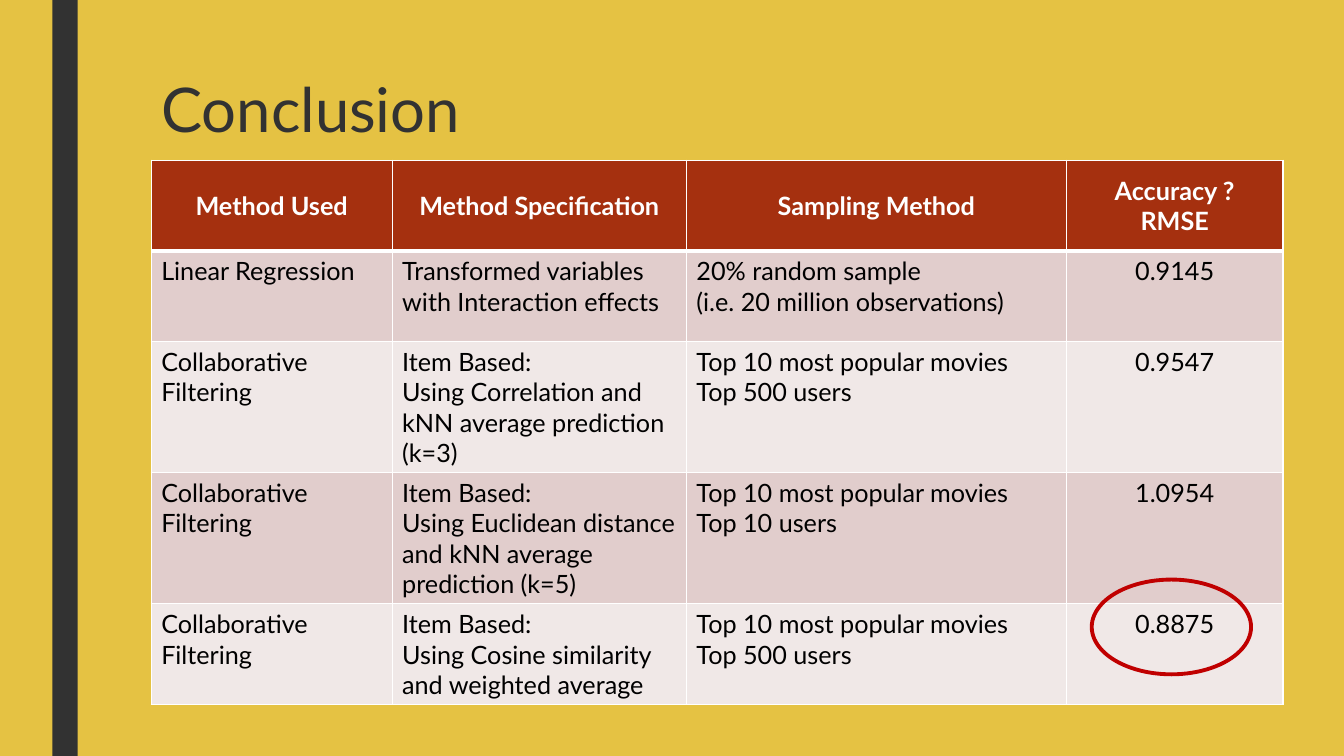
"""Build the conclusion slide that compares recommendation methods by RMSE."""
from dataclasses import dataclass

from lxml import etree
from pptx import Presentation
from pptx import util as u
from pptx.dml import color
from pptx.enum import shapes, text
from pptx.oxml import ns

COLOURS = {
    "background": "E5C243",
    "dark": "323232",
    "header": "A5300F",
    "odd": "E1CDCC",
    "even": "F0E8E7",
    "white": "FFFFFF",
    "black": "000000",
    "highlight": "C00000",
}
FONT = "Lato"
COLUMN_WIDTHS = (172.1, 210.2, 271.4, 154.8)
HEADERS = ("Method Used", "Method Specification", "Sampling Method", "Accuracy ?\nRMSE")


@dataclass
class Method:
    name: str
    specification: str
    sampling: str
    rmse: str
    height: float

    def texts(self) -> tuple[str, ...]:
        return self.name, self.specification, self.sampling, self.rmse


@dataclass
class Mark:
    kind: shapes.MSO_SHAPE
    left: float
    top: float
    width: float
    height: float
    fill: str = ""
    line: str = ""
    weight: float = 0


METHODS = (
    Method("Linear Regression", "Transformed variables with Interaction effects",
           "20% random sample\n(i.e. 20 million observations)", "0.9145", 64.8),
    Method("Collaborative Filtering",
           "Item Based:\nUsing Correlation and kNN average prediction (k=3)",
           "Top 10 most popular movies\nTop 500 users", "0.9547", 93.6),
    Method("Collaborative Filtering",
           "Item Based:\nUsing Euclidean distance and kNN average prediction (k=5)",
           "Top 10 most popular movies\nTop 10 users", "1.0954", 93.6),
    Method("Collaborative Filtering",
           "Item Based:\nUsing Cosine similarity and weighted average",
           "Top 10 most popular movies\nTop 500 users", "0.8875", 72),
)
SIDE_BAR = Mark(shapes.MSO_SHAPE.RECTANGLE, 37.4, 0, 18, 540, fill="dark")
BEST_RESULT = Mark(shapes.MSO_SHAPE.OVAL, 779.8, 414, 113.8, 67.7,
                   line="highlight", weight=2.75)


def rgb(name: str) -> color.RGBColor:
    return color.RGBColor.from_string(COLOURS[name])


def write(frame, content: str, *, size: float = 18, colour: str = "black",
          bold: bool = False, align=text.PP_ALIGN.LEFT, spacing: float = 1.0) -> None:
    frame.text = content
    frame.word_wrap = True
    for para in frame.paragraphs:
        para.alignment = align
        para.line_spacing = spacing
        for span in para.runs:
            span.font.name = FONT
            span.font.size = u.Pt(size)
            span.font.bold = bold
            span.font.color.rgb = rgb(colour)


def draw_mark(page, mark: Mark) -> None:
    box = page.shapes.add_shape(mark.kind, u.Pt(mark.left), u.Pt(mark.top),
                                u.Pt(mark.width), u.Pt(mark.height))
    box.shadow.inherit = False
    if mark.fill:
        box.fill.solid()
        box.fill.fore_color.rgb = rgb(mark.fill)
    else:
        box.fill.background()
    if mark.line:
        box.line.color.rgb = rgb(mark.line)
        box.line.width = u.Pt(mark.weight)
    else:
        box.line.fill.background()


def set_borders(cell, top: float, bottom: float) -> None:
    properties = cell._tc.get_or_add_tcPr()
    weights = {"lnL": 1, "lnR": 1, "lnT": top, "lnB": bottom}
    for position, (side, weight) in enumerate(weights.items()):
        border = etree.Element(ns.qn(f"a:{side}"), w=str(u.Pt(weight)))
        fill = etree.SubElement(border, ns.qn("a:solidFill"))
        etree.SubElement(fill, ns.qn("a:srgbClr"), val=COLOURS["white"])
        properties.insert(position, border)


def draw_table(page) -> None:
    heights = (64.8, *(method.height for method in METHODS))
    contents = (HEADERS, *(method.texts() for method in METHODS))
    table = page.shapes.add_table(
        len(contents), len(HEADERS), u.Pt(108), u.Pt(114.5),
        u.Pt(sum(COLUMN_WIDTHS)), u.Pt(sum(heights))).table
    for column, width in zip(table.columns, COLUMN_WIDTHS):
        column.width = u.Pt(width)
    for index, (row, height, texts) in enumerate(zip(table.rows, heights, contents)):
        row.height = u.Pt(height)
        header = index == 0
        fill = "header" if header else "odd" if index % 2 else "even"
        for number, (cell, content) in enumerate(zip(row.cells, texts)):
            centred = header or number == len(HEADERS) - 1
            write(cell.text_frame, content, bold=header,
                  colour="white" if header else "black",
                  align=text.PP_ALIGN.CENTER if centred else text.PP_ALIGN.LEFT)
            cell.vertical_anchor = text.MSO_ANCHOR.MIDDLE if header else text.MSO_ANCHOR.TOP
            cell.fill.solid()
            cell.fill.fore_color.rgb = rgb(fill)
            set_borders(cell, top=3 if index == 1 else 1, bottom=3 if header else 1)


def draw_title(page) -> None:
    title = page.shapes.title
    title.left, title.top = u.Pt(108), u.Pt(53.3)
    title.width, title.height = u.Pt(756), u.Pt(69.8)
    write(title.text_frame, "Conclusion", size=44, colour="dark", spacing=0.89)
    title.text_frame.auto_size = text.MSO_AUTO_SIZE.NONE
    title.text_frame.vertical_anchor = text.MSO_ANCHOR.TOP


def main() -> None:
    deck = Presentation()
    deck.slide_width, deck.slide_height = u.Pt(960), u.Pt(540)
    page = deck.slides.add_slide(deck.slide_layouts.get_by_name("Title Only"))
    page.background.fill.solid()
    page.background.fill.fore_color.rgb = rgb("background")
    draw_mark(page, SIDE_BAR)
    draw_title(page)
    draw_table(page)
    draw_mark(page, BEST_RESULT)
    deck.save("out.pptx")


if __name__ == "__main__":
    main()
